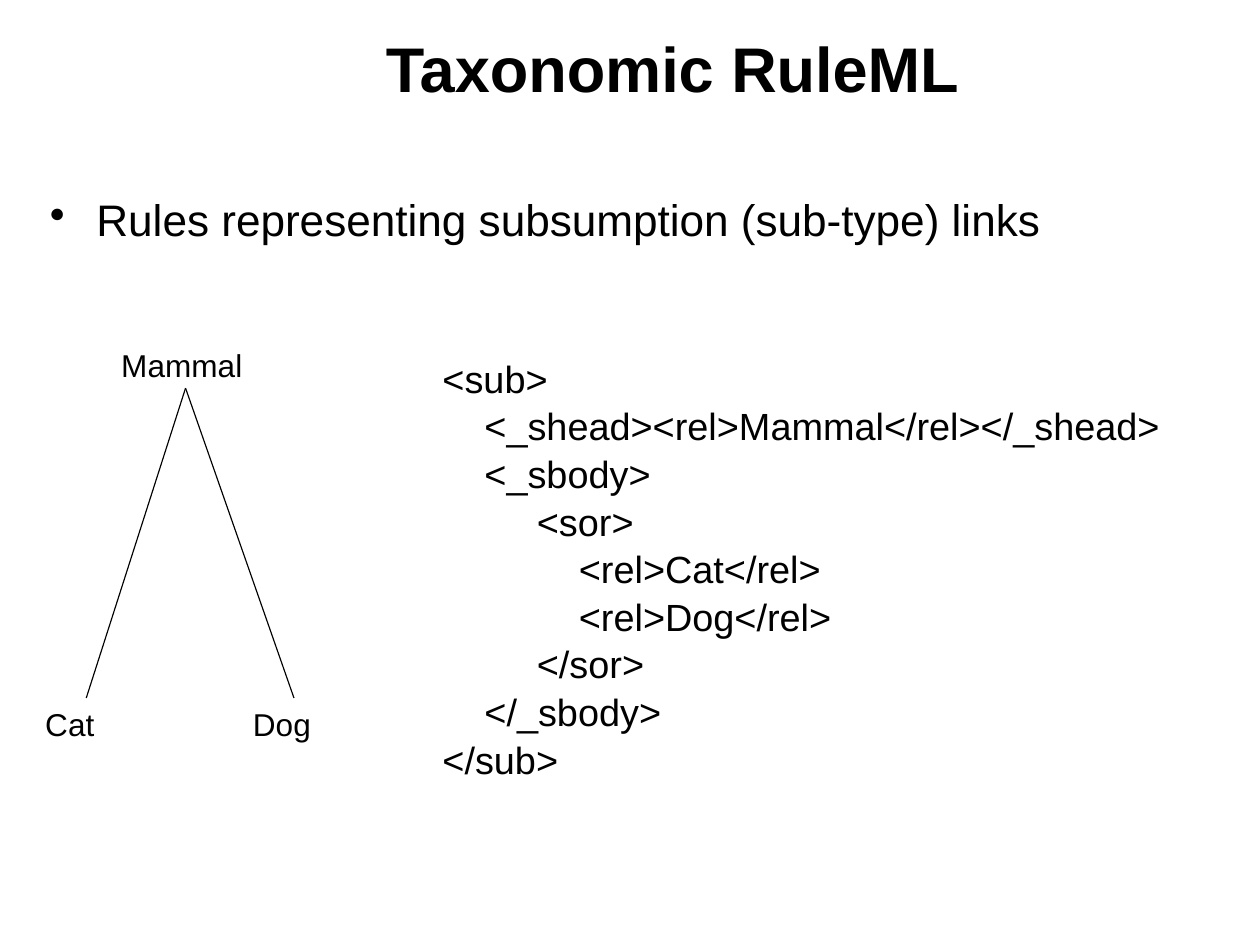
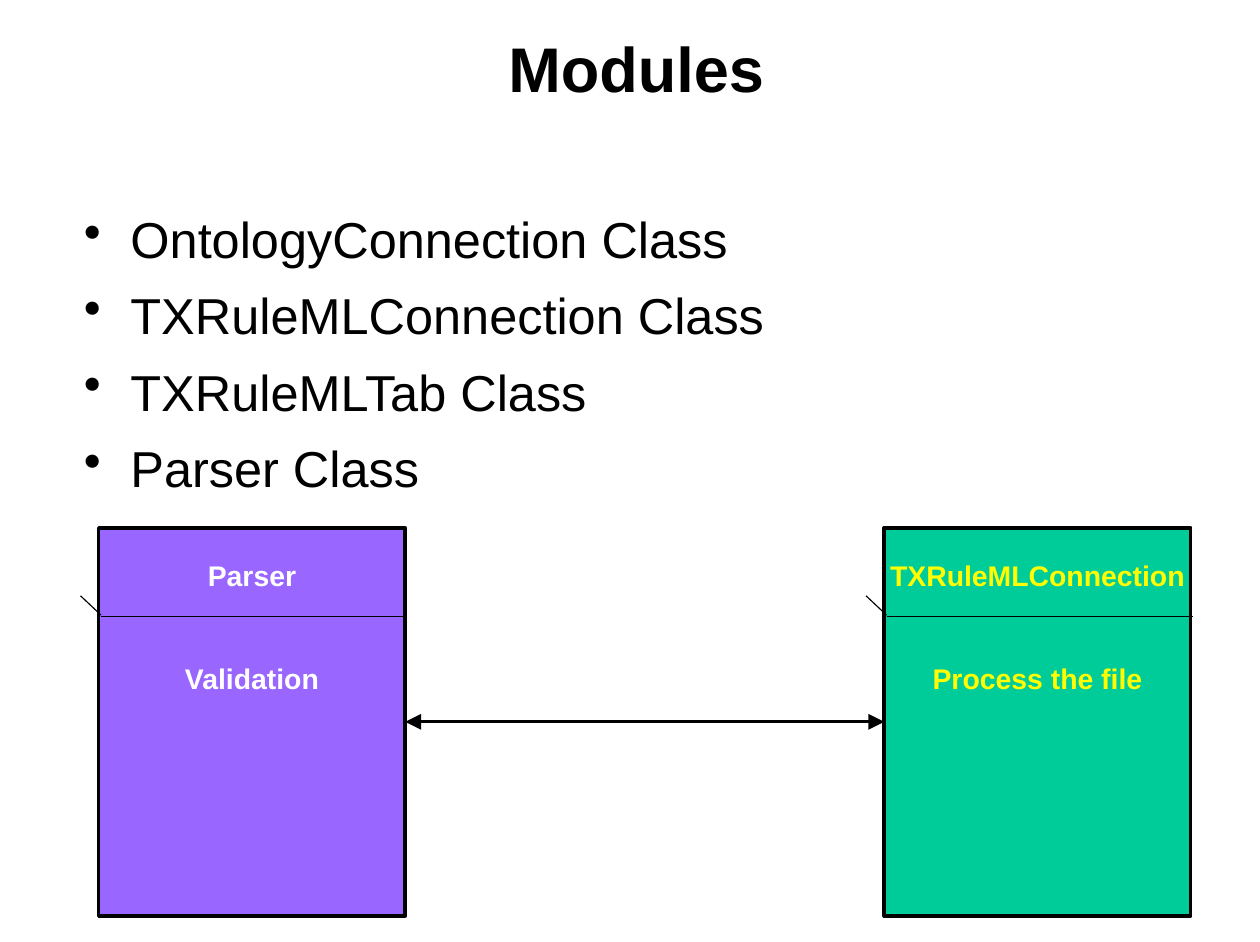
from lxml import etree
from pptx import Presentation
from pptx.dml.color import RGBColor
from pptx.enum.shapes import MSO_CONNECTOR, MSO_SHAPE
from pptx.enum.text import MSO_ANCHOR, PP_ALIGN
from pptx.oxml.ns import qn
from pptx.util import Pt

PX = 9144  # EMU in one px, at 100 px to the inch
FONT = "Arial"
BLACK, WHITE, YELLOW = "000000", "FFFFFF", "FFFF00"
PURPLE, GREEN = "9966FF", "00CC99"
RECTANGLE = MSO_SHAPE.RECTANGLE
STRAIGHT = MSO_CONNECTOR.STRAIGHT
TOP, MIDDLE = MSO_ANCHOR.TOP, MSO_ANCHOR.MIDDLE
LEFT, CENTER = PP_ALIGN.LEFT, PP_ALIGN.CENTER
TOP_SIDE, LEFT_SIDE, BOTTOM_SIDE, RIGHT_SIDE = range(4)

TITLE_BOX = (175, 8, 917, 100)
TITLE_MARGINS = (11, 6)
BULLET_INDENT = 41
LINE_SPACING = 1.05


def write_text(shape, lines, size, margins=(10, 5), color=BLACK, bold=False,
               align=LEFT, anchor=TOP, spacing=LINE_SPACING, gap=0,
               indent=0, bullet=None):
    """Fill a shape with one paragraph per line; gap is the points between them."""
    frame = shape.text_frame
    frame.word_wrap = True
    frame.vertical_anchor = anchor
    frame.margin_left = frame.margin_right = margins[0] * PX
    frame.margin_top = frame.margin_bottom = margins[1] * PX
    for index, line in enumerate(lines):
        paragraph = frame.add_paragraph() if index else frame.paragraphs[0]
        paragraph.text = line
        properties = paragraph._p.get_or_add_pPr()
        properties.set("marL", str(indent * PX))
        if bullet:
            properties.set("indent", str(-indent * PX))
            etree.SubElement(properties, qn("a:buChar"), char=bullet)
        paragraph.alignment = align
        paragraph.line_spacing = spacing
        if index and gap:
            paragraph.space_before = Pt(gap)
        paragraph.font.name = FONT
        paragraph.font.size = Pt(size)
        paragraph.font.bold = bold
        paragraph.font.color.rgb = RGBColor.from_string(color)


def draw_line(slide, start, end, width=0.75):
    connector = slide.shapes.add_connector(
        STRAIGHT, *[length * PX for length in start + end])
    connector.line.width = Pt(width)
    connector.line.color.rgb = RGBColor.from_string(BLACK)
    etree.SubElement(connector.element.spPr, qn("a:effectLst"))
    return connector


presentation = Presentation()
presentation.slide_width = 1110 * PX
presentation.slide_height = 830 * PX
blank_layout = presentation.slide_layouts[6]

# Titles and bullet lists
slide_contents = [
    ("Taxonomic RuleML", 154, (33, 167, 1050, 107), 28, 0.94,
     ["Rules representing subsumption (sub-type) links"]),
    ("Modules", 262, (63, 175, 1017, 350), 32, LINE_SPACING,
     ["OntologyConnection Class", "TXRuleMLConnection Class",
      "TXRuleMLTab Class", "Parser Class"]),
]
slides = []
for title, title_indent, body_box, body_size, body_spacing, bullets in slide_contents:
    slide = presentation.slides.add_slide(blank_layout)
    title_shape = slide.shapes.add_textbox(*[length * PX for length in TITLE_BOX])
    write_text(title_shape, [title], 40, TITLE_MARGINS, bold=True,
               anchor=MIDDLE, indent=title_indent)
    body_shape = slide.shapes.add_textbox(*[length * PX for length in body_box])
    write_text(body_shape, bullets, body_size, TITLE_MARGINS, gap=8,
               spacing=body_spacing, indent=BULLET_INDENT, bullet="•")
    slides.append(slide)
taxonomy_slide, modules_slide = slides

# Taxonomy tree
nodes = {}
for name, left, top, width in [("Mammal", 97, 298, 133),
                               ("Cat", 30, 615, 92),
                               ("Dog", 213, 615, 92)]:
    nodes[name] = taxonomy_slide.shapes.add_textbox(
        left * PX, top * PX, width * PX, 44 * PX)
    write_text(nodes[name], [name], 20)
for child, child_center in [("Cat", 76), ("Dog", 259)]:
    branch = draw_line(taxonomy_slide, (163, 342), (child_center, 615))
    branch.begin_connect(nodes["Mammal"], BOTTOM_SIDE)
    branch.end_connect(nodes[child], TOP_SIDE)

# Rule markup
code = """<sub>
    <_shead><rel>Mammal</rel></_shead>
    <_sbody>
         <sor>
             <rel>Cat</rel>
             <rel>Dog</rel>
         </sor>
    </_sbody>
</sub>"""
code_shape = taxonomy_slide.shapes.add_textbox(380 * PX, 315 * PX, 667 * PX, 370 * PX)
write_text(code_shape, code.split("\n"), 24, anchor=MIDDLE)

# Module boxes
modules = []
for left, fill, color, lines in [
        (87, PURPLE, WHITE, ["Parser", "Validation"]),
        (779, GREEN, YELLOW, ["TXRuleMLConnection", "Process the file"])]:
    module = modules_slide.shapes.add_shape(
        RECTANGLE, left * PX, 465 * PX, 270 * PX, 342 * PX)
    module.shadow.inherit = False
    module.fill.solid()
    module.fill.fore_color.rgb = RGBColor.from_string(fill)
    module.line.color.rgb = RGBColor.from_string(BLACK)
    module.line.width = Pt(2.25)
    write_text(module, lines, 18, (0, 25), color, bold=True, align=CENTER, gap=43)
    draw_line(modules_slide, (left + 2, 543), (left + 272, 543))
    draw_line(modules_slide, (left - 16, 525), (left + 2, 542))
    modules.append(module)

parser, connection = modules
exchange = draw_line(modules_slide, (779, 636), (357, 636), width=2)
exchange.begin_connect(connection, LEFT_SIDE)
exchange.end_connect(parser, RIGHT_SIDE)
outline = exchange.element.spPr.find(qn("a:ln"))
for arrowhead in ("a:headEnd", "a:tailEnd"):
    etree.SubElement(outline, qn(arrowhead), type="triangle", w="lg", len="lg")

presentation.save("out.pptx")
